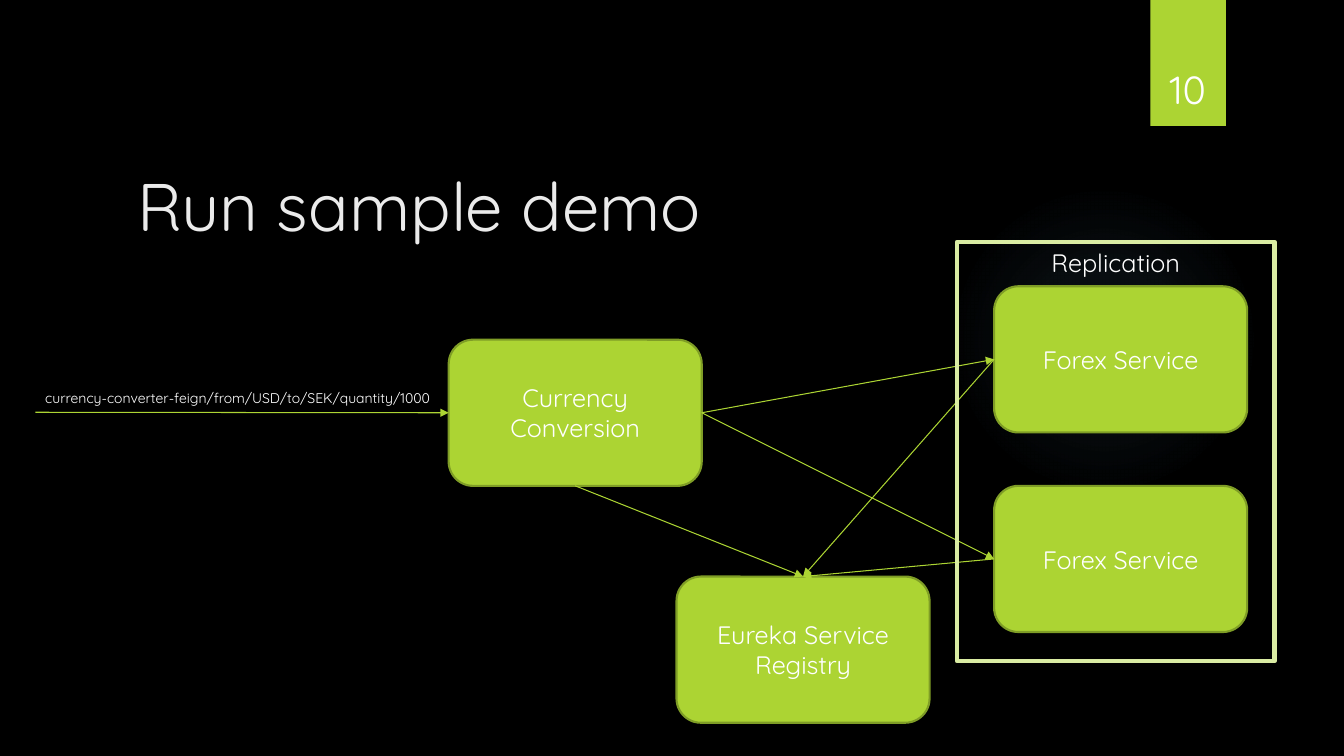
from lxml.etree import SubElement
from pptx import Presentation
from pptx.dml.color import RGBColor
from pptx.enum.shapes import MSO_CONNECTOR as Line, MSO_SHAPE as Preset
from pptx.enum.text import MSO_ANCHOR as Anchor, MSO_AUTO_SIZE as Fit, PP_ALIGN as Align
from pptx.oxml.ns import qn
from pptx.util import Inches, Pt

FONT = "Quicksand"
BLACK = RGBColor(0x00, 0x00, 0x00)
WHITE = RGBColor(0xFF, 0xFF, 0xFF)
TITLE_GRAY = RGBColor(0xEB, 0xEB, 0xEB)
LIME = RGBColor(0xAC, 0xD4, 0x33)
DARK_LIME = RGBColor(0x7F, 0x9D, 0x26)
PALE_LIME = RGBColor(0xDA, 0xEC, 0xA3)
GLOW_BLUE = RGBColor(0x7A, 0xC4, 0xF0)

SERVICE_WIDTH, SERVICE_HEIGHT = 2.51, 1.45
TOP, LEFT, BOTTOM, RIGHT = range(4)


def write(shape, text, size, color=WHITE, align=Align.CENTER, anchor=Anchor.MIDDLE, wrap=True):
    """Put one formatted paragraph into a shape."""
    frame = shape.text_frame
    frame.word_wrap = wrap
    frame.auto_size = Fit.NONE
    frame.vertical_anchor = anchor
    para = frame.paragraphs[0]
    para.alignment = align
    span = para.add_run()
    span.text = text
    span.font.name = FONT
    span.font.size = Pt(size)
    span.font.color.rgb = color


def add_box(page, preset, box, fill=None, line=None, weight=0):
    """Add a flat preset shape in the given box of inches."""
    shape = page.shapes.add_shape(preset, *map(Inches, box))
    shape.shadow.inherit = False
    if fill is None:
        shape.fill.background()
    else:
        shape.fill.solid()
        shape.fill.fore_color.rgb = fill
    if line is None:
        shape.line.fill.background()
    else:
        shape.line.color.rgb = line
        shape.line.width = Pt(weight)
    return shape


def add_glow(page, box):
    """Add a faint radial glow that fades out towards its edge."""
    glow = add_box(page, Preset.OVAL, box)
    properties = glow._element.spPr
    gradient = SubElement(properties, qn("a:gradFill"))
    properties.replace(properties.find(qn("a:noFill")), gradient)
    stops = SubElement(gradient, qn("a:gsLst"))
    for position, opacity in ((0, 7), (36, 6), (69, 0)):
        stop = SubElement(stops, qn("a:gs"), pos=str(position * 1000))
        color = SubElement(stop, qn("a:srgbClr"), val=str(GLOW_BLUE))
        SubElement(color, qn("a:alpha"), val=str(opacity * 1000))
    shade = SubElement(gradient, qn("a:path"), {"path": "circle"})
    SubElement(shade, qn("a:fillToRect"), dict.fromkeys("ltrb", "50000"))


def add_page_tab(page, box, number):
    """Add the lime tab with the slide number near its foot."""
    left, top, width, height = box
    add_box(page, Preset.RECTANGLE, box, LIME)
    label = page.shapes.add_textbox(
        Inches(left - 0.09), Inches(top + 0.32), Inches(width + 0.17), Inches(height - 0.41))
    write(label, number, 28, anchor=Anchor.BOTTOM)


def add_title(page, box, text):
    """Place and fill the title placeholder."""
    title = page.shapes.title
    title.left, title.top, title.width, title.height = map(Inches, box)
    write(title, text, 48, TITLE_GRAY, Align.LEFT, Anchor.TOP)


def add_service(page, left, top, name):
    """Add one rounded service block."""
    box = (left, top, SERVICE_WIDTH, SERVICE_HEIGHT)
    service = add_box(page, Preset.ROUNDED_RECTANGLE, box, LIME, DARK_LIME, 1.5)
    write(service, name, 18)
    return service


def add_arrow(page, start=(0, 0), end=(0, 0)):
    """Add a thin lime arrow between two points in inches."""
    arrow = page.shapes.add_connector(Line.STRAIGHT, *map(Inches, (*start, *end)))
    arrow.line.color.rgb = LIME
    arrow.line.width = Pt(0.75)
    SubElement(arrow.line._get_or_add_ln(), qn("a:tailEnd"), type="triangle")
    SubElement(arrow._element.spPr, qn("a:effectLst"))
    return arrow


def add_request(page, box, address, target):
    """Add the incoming call: its address above an arrow into the target."""
    left, top, width, height = box
    label = page.shapes.add_textbox(*map(Inches, box))
    write(label, address, 10, align=Align.LEFT, anchor=Anchor.TOP, wrap=False)
    arrow = add_arrow(page, (left, top + height), (left + width, top + height))
    arrow.end_connect(target, LEFT)


def add_services(page, box):
    """Lay out the services, their calls and the replication frame."""
    left, top, width, height = box
    converter = add_service(page, left + 4.1, top + 0.97, "Currency Conversion")
    forex_one, forex_two = (
        add_service(page, left + 9.51, top + offset, "Forex Service") for offset in (0.44, 2.42))
    registry = add_service(page, left + 6.36, top + 3.32, "Eureka Service Registry")
    calls = (
        (converter, RIGHT, forex_one, LEFT),
        (converter, RIGHT, forex_two, LEFT),
        (converter, BOTTOM, registry, TOP),
        (forex_one, LEFT, registry, TOP),
        (forex_two, LEFT, registry, TOP),
    )
    for source, source_side, target, target_side in calls:
        arrow = add_arrow(page)
        arrow.begin_connect(source, source_side)
        arrow.end_connect(target, target_side)
    add_request(page, (left, top + 1.41, 4.1, 0.28),
                "currency-converter-feign/from/USD/to/SEK/quantity/1000", converter)
    frame_box = (left + width - 3.15, top, 3.15, height - 0.61)
    frame = add_box(page, Preset.RECTANGLE, frame_box, line=PALE_LIME, weight=3)
    write(frame, "Replication", 18, anchor=Anchor.TOP)


def main():
    """Build and save the one-slide deck."""
    deck = Presentation()
    deck.slide_width, deck.slide_height = Inches(13.33), Inches(7.5)
    page = deck.slides.add_slide(deck.slide_layouts[5])
    page.background.fill.solid()
    page.background.fill.fore_color.rgb = BLACK
    add_glow(page, (9.41, 1.83, 3.08, 3.08))
    add_page_tab(page, (11.41, 0, 0.75, 1.25), "10")
    add_title(page, (1.26, 1.58, 9.65, 2.17), "Run sample demo")
    add_services(page, (0.35, 2.4, 12.29, 4.77))
    deck.save("out.pptx")


if __name__ == "__main__":
    main()
